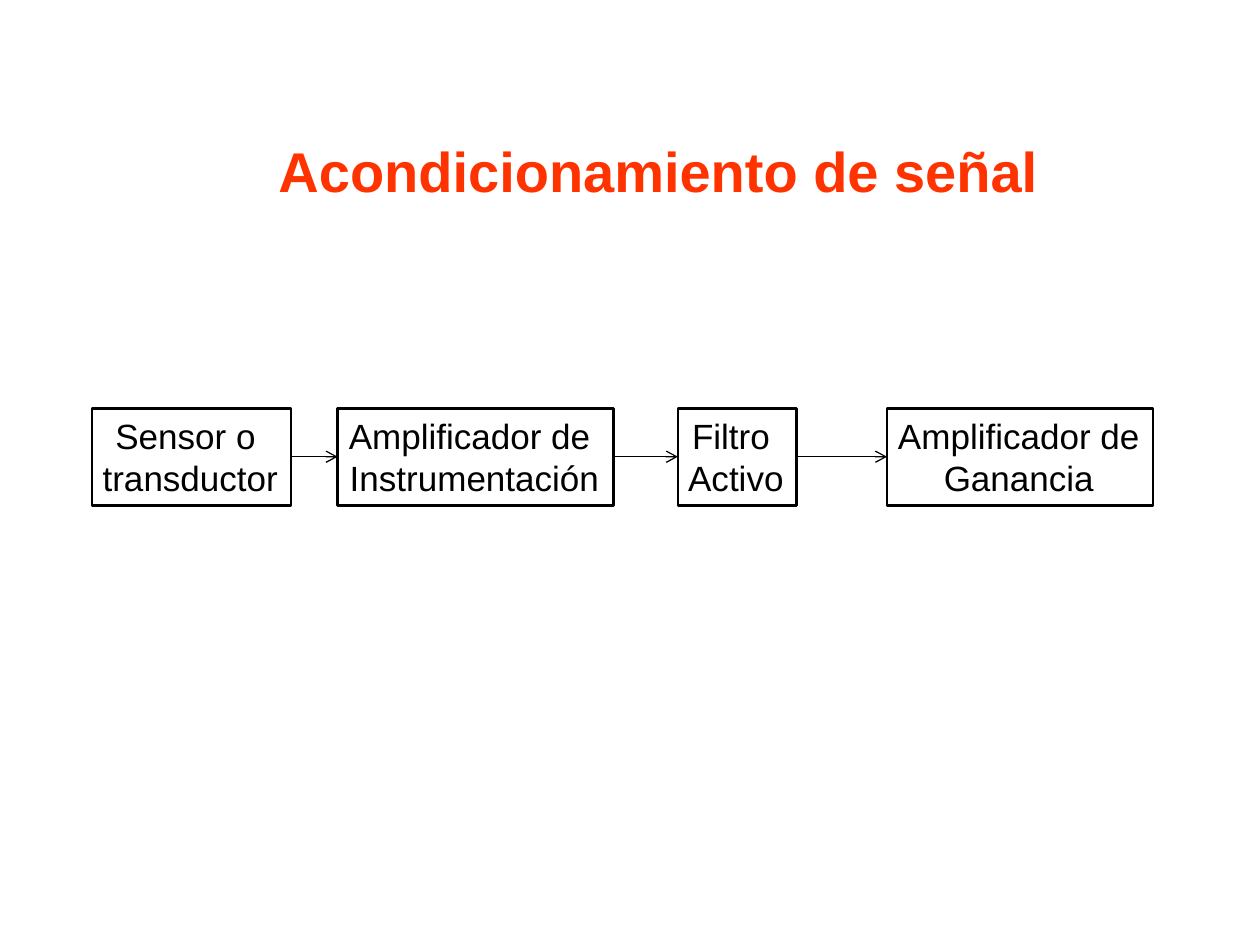
from itertools import pairwise
from typing import NamedTuple

from lxml.etree import SubElement
from pptx import Presentation
from pptx.dml.color import RGBColor
from pptx.enum.shapes import MSO_CONNECTOR, MSO_SHAPE
from pptx.enum.text import MSO_ANCHOR, PP_ALIGN
from pptx.oxml.ns import qn
from pptx.slide import Slide
from pptx.util import Inches, Pt

TOP, HEIGHT = 3.24, 0.77
BLACK, RED = "000000", "FF3300"


class Stage(NamedTuple):
    """One block of the signal chain."""
    text: str
    left: float
    width: float


STAGES = [
    Stage("Sensor o \ntransductor", 0.73, 1.58),
    Stage("Amplificador de \nInstrumentación", 2.68, 2.19),
    Stage("Filtro \nActivo", 5.38, 0.94),
    Stage("Amplificador de\nGanancia", 7.04, 2.11),
]


def rgb(color: str) -> RGBColor:
    """Turn a hex string into a colour."""
    return RGBColor.from_string(color)


def format_text(tf, size: float, color: str, align: PP_ALIGN, bold: bool = False) -> None:
    """Set alignment and font for all the text in a frame."""
    for p in tf.paragraphs:
        p.alignment = align
        for r in p.runs:
            r.font.name = "Arial"
            r.font.size = Pt(size)
            r.font.bold = bold
            r.font.color.rgb = rgb(color)


def add_title(s: Slide, text: str) -> None:
    """Fill and place the title placeholder."""
    sp = s.shapes.title
    sp.left, sp.top = Inches(2.11), Inches(1.03)
    sp.width, sp.height = Inches(6.25), Inches(0.79)
    tf = sp.text_frame
    tf.text = text
    tf.vertical_anchor = MSO_ANCHOR.TOP
    tf.paragraphs[0].space_before = Pt(5)
    format_text(tf, 32, RED, PP_ALIGN.LEFT, bold=True)


def add_stage(s: Slide, stage: Stage) -> None:
    """Draw one outlined block with its label."""
    sp = s.shapes.add_shape(MSO_SHAPE.RECTANGLE, Inches(stage.left), Inches(TOP),
                            Inches(stage.width), Inches(HEIGHT))
    sp.shadow.inherit = False
    sp.fill.background()
    sp.line.color.rgb = rgb(BLACK)
    sp.line.width = Pt(1.5)
    tf = sp.text_frame
    tf.text = stage.text
    tf.word_wrap = False
    tf.vertical_anchor = MSO_ANCHOR.TOP
    tf.margin_left, tf.margin_right = Inches(0.08), Inches(0.1)
    tf.margin_top = tf.margin_bottom = Inches(0.05)
    format_text(tf, 20, BLACK, PP_ALIGN.CENTER)


def add_arrow(s: Slide, start: Stage, end: Stage) -> None:
    """Draw an arrow from one block to the next."""
    y = Inches(TOP + HEIGHT / 2)
    arrow = s.shapes.add_connector(MSO_CONNECTOR.STRAIGHT, Inches(start.left + start.width), y,
                                   Inches(end.left), y)
    arrow.line.color.rgb = rgb(BLACK)
    arrow.line.width = Pt(0.75)
    SubElement(arrow.line._get_or_add_ln(), qn("a:tailEnd"), type="arrow")
    SubElement(arrow._element.spPr, qn("a:effectLst"))


prs = Presentation()
prs.slide_width, prs.slide_height = Inches(10), Inches(7.5)
s = prs.slides.add_slide(prs.slide_layouts[5])
add_title(s, "Acondicionamiento de señal")
for stage in STAGES:
    add_stage(s, stage)
for start, end in pairwise(STAGES):
    add_arrow(s, start, end)
prs.save("out.pptx")
